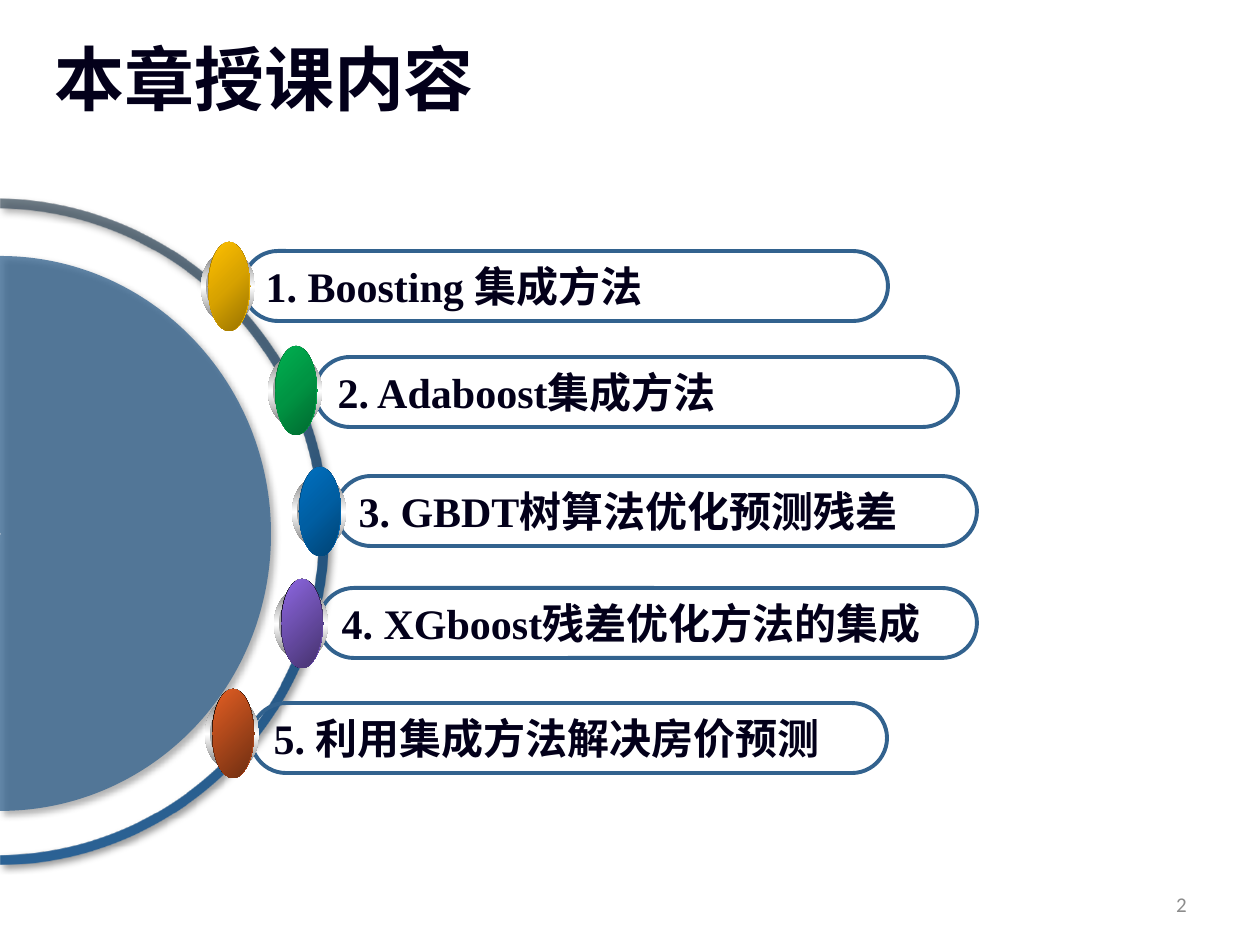
import lxml.etree
import pptx
import pptx.dml.color
import pptx.enum.shapes
import pptx.enum.text
import pptx.oxml.ns
import pptx.util

RGB = pptx.dml.color.RGBColor
SHAPE = pptx.enum.shapes.MSO_SHAPE
ALIGN = pptx.enum.text.PP_ALIGN
ANCHOR = pptx.enum.text.MSO_ANCHOR
qn = pptx.oxml.ns.qn

PX = 914400 / 126
LATIN = "Times New Roman"
CJK = "Noto Sans CJK SC"

INK = RGB(0x03, 0x00, 0x1A)
PAGE_GRAY = RGB(0x8C, 0x8C, 0x8C)
BLUE = RGB(0x32, 0x62, 0x8E)
BLACK = RGB(0x00, 0x00, 0x00)
WHITE = RGB(0xFF, 0xFF, 0xFF)
RIM_GRAY = RGB(0x76, 0x76, 0x76)
HUB_GRAY = RGB(0xA2, 0xA2, 0xA2)
ARC_TOP = RGB(0x44, 0x54, 0x62)
ARC_MIDDLE = RGB(0x24, 0x53, 0x7D)
ARC_BOTTOM = RGB(0x2B, 0x62, 0x95)
GOLD = [RGB(0x97, 0x72, 0x00), RGB(0xD7, 0xA2, 0x00), RGB(0xFF, 0xC0, 0x00)]
GREEN = [RGB(0x00, 0x68, 0x2F), RGB(0x00, 0x94, 0x43), RGB(0x00, 0xB0, 0x50)]
AZURE = [RGB(0x00, 0x42, 0x72), RGB(0x00, 0x5E, 0xA2), RGB(0x00, 0x70, 0xC0)]
PURPLE = [RGB(0x8D, 0x67, 0xE1), RGB(0x45, 0x32, 0x6D)]
ORANGE = [RGB(0xE3, 0x5E, 0x23), RGB(0x6E, 0x2E, 0x11)]

BARS = [
    (251, 703, 636, [("5. 利用集成方法解决房价预测", LATIN)]),
    (319, 588, 658, [("4. XGboost残差优化方法的集成", LATIN)]),
    (336, 476, 641, [("3. GBDT树算法优化预测残差", LATIN)]),
    (315, 357, 643, [("2. Adaboost集成方法", LATIN)]),
    (243, 251, 645, [("1. Boosting ", LATIN), ("集成方法", CJK)]),
]
MARKERS = [(205, 698, ORANGE), (274, 588, PURPLE), (268, 355, GREEN),
           (201, 251, GOLD), (292, 476, AZURE)]
RING = [
    ("moveTo", [(0, 209)]),
    ("cubicBezTo", [(176, 212), (318, 355), (318, 532)]),
    ("cubicBezTo", [(318, 709), (176, 852), (0, 854)]),
    ("lnTo", [(0, 864)]),
    ("cubicBezTo", [(181, 862), (328, 713), (328, 532)]),
    ("cubicBezTo", [(328, 350), (181, 203), (0, 199)]),
    ("close", []),
]
DISC = [
    ("moveTo", [(0, 535)]),
    ("cubicBezTo", [(1, 535), (1, 533), (0, 533)]),
    ("lnTo", [(0, 256)]),
    ("cubicBezTo", [(150, 256), (271, 381), (271, 534)]),
    ("cubicBezTo", [(271, 688), (150, 811), (0, 811)]),
    ("close", []),
]


def px(*lengths):
    """Turn whole pixels into EMU."""
    return [pptx.util.Emu(round(length * PX)) for length in lengths]


def add_run(paragraph, text, size, font, color, bold=True):
    """Add one formatted run to a paragraph."""
    run = paragraph.add_run()
    run.text = text
    run.font.size = pptx.util.Pt(size)
    run.font.bold = bold
    run.font.color.rgb = color
    run.font.name = font
    east_asian = lxml.etree.SubElement(run.font._element, qn("a:ea"))
    east_asian.set("typeface", CJK)


def add_label(slide, box, text, size, font, color, anchor, align, bold):
    """Add a one-line text box and return its paragraph."""
    frame = slide.shapes.add_textbox(*px(*box)).text_frame
    frame.word_wrap = True
    frame.vertical_anchor = anchor
    paragraph = frame.paragraphs[0]
    paragraph.alignment = align
    add_run(paragraph, text, size, font, color, bold)
    return paragraph


def set_alpha(color_element, percent):
    """Make a colour element partly transparent."""
    alpha = lxml.etree.SubElement(color_element, qn("a:alpha"))
    alpha.set("val", str(percent * 1000))


def set_gradient(shape, colors, angle=None):
    """Fill with evenly spaced colours, linear or from the lower right corner."""
    shape.fill.background()
    properties = shape._element.spPr
    gradient = lxml.etree.Element(qn("a:gradFill"), rotWithShape="1")
    stops = lxml.etree.SubElement(gradient, qn("a:gsLst"))
    for index, color in enumerate(colors):
        position = round(100000 * index / (len(colors) - 1))
        stop = lxml.etree.SubElement(stops, qn("a:gs"), pos=str(position))
        lxml.etree.SubElement(stop, qn("a:srgbClr"), val=str(color))
    if angle is None:
        radial = lxml.etree.SubElement(gradient, qn("a:path"), path="circle")
        lxml.etree.SubElement(radial, qn("a:fillToRect"), l="100000", t="100000")
    else:
        lxml.etree.SubElement(gradient, qn("a:lin"), ang=str(angle * 60000), scaled="0")
    properties.replace(properties.find(qn("a:noFill")), gradient)


def add_shadow(shape):
    """Give a shape a soft shadow to the lower right."""
    shape.shadow.inherit = False
    effects = shape._element.spPr.find(qn("a:effectLst"))
    shadow = lxml.etree.SubElement(
        effects, qn("a:outerShdw"), blurRad="50800", dist="38100",
        dir="2700000", algn="tl", rotWithShape="0")
    set_alpha(lxml.etree.SubElement(shadow, qn("a:srgbClr"), val=str(BLACK)), 40)


def add_outline(slide, left, top, width, height, segments):
    """Add a curved freeform, turned a quarter, from segments in slide pixels."""
    builder = slide.shapes.build_freeform(left, top, PX)
    builder.add_line_segments([(left + width, top), (left + width, top + height)])
    shape = builder.convert_to_shape()
    shape.rotation = 90
    outline = shape._element.spPr.find(".//" + qn("a:path"))
    for child in list(outline):
        outline.remove(child)
    outline.set("w", str(width))
    outline.set("h", str(height))
    for kind, points in segments:
        segment = lxml.etree.SubElement(outline, qn("a:" + kind))
        for x, y in points:
            across = y - top + (width - height) // 2
            down = height - (x - left) + (width - height) // 2
            lxml.etree.SubElement(segment, qn("a:pt"), x=str(across), y=str(down))
    shape.line.fill.background()
    add_shadow(shape)
    return shape


def add_dial(slide):
    """Add the half ring and the half disc at the left edge."""
    ring = add_outline(slide, -338, 199, 665, 665, RING)
    set_gradient(ring, [ARC_TOP, ARC_MIDDLE, ARC_BOTTOM], 0)
    set_alpha(ring._element.spPr.find(".//" + qn("a:srgbClr")), 75)
    disc = add_outline(slide, -278, 263, 556, 542, DISC)
    disc.fill.solid()
    disc.fill.fore_color.rgb = BLUE
    set_alpha(disc._element.spPr.find(qn("a:solidFill"))[0], 75)


def add_bar(slide, left, top, width, runs):
    """Add a rounded outline with its topic text."""
    bar = slide.shapes.add_shape(SHAPE.ROUNDED_RECTANGLE, *px(left, top, width, 70))
    bar.adjustments[0] = 0.5
    bar.shadow.inherit = False
    bar.fill.background()
    bar.line.color.rgb = BLUE
    bar.line.width = pptx.util.Pt(2.25)
    frame = bar.text_frame
    frame.word_wrap = False
    frame.vertical_anchor = ANCHOR.MIDDLE
    paragraph = frame.paragraphs[0]
    paragraph.alignment = ALIGN.LEFT
    for text, font in runs:
        add_run(paragraph, text, 24, font, INK)


def add_marker(slide, left, top, colors):
    """Add a button made of four stacked ellipses."""
    two_tone = len(colors) == 2
    back = [BLACK, colors[0]] if two_tone else colors
    layers = [
        ((0, 0, 54, 72), [RIM_GRAY, WHITE, RIM_GRAY], 90),
        ((5, 7, 43, 57), [HUB_GRAY, WHITE, HUB_GRAY], 0),
        ((7, -9, 42, 89), back, 45),
        ((8, -9, 40, 89), colors, 45 if two_tone else None),
    ]
    group = slide.shapes.add_group_shape()
    for (x, y, width, height), stops, angle in layers:
        ellipse = group.shapes.add_shape(
            SHAPE.OVAL, *px(left + x, top + y, width, height))
        ellipse.shadow.inherit = False
        ellipse.line.fill.background()
        set_gradient(ellipse, stops, angle)


def main():
    """Build the chapter contents slide."""
    presentation = pptx.Presentation()
    presentation.slide_width, presentation.slide_height = px(1260, 945)
    slide = presentation.slides.add_slide(presentation.slide_layouts[6])
    add_label(slide, (906, 879, 293, 50), "2", 12, "Calibri", PAGE_GRAY,
              ANCHOR.MIDDLE, ALIGN.RIGHT, False)
    title = add_label(slide, (42, 46, 1134, 118), "本章授课内容", 40, CJK, INK,
                      ANCHOR.TOP, ALIGN.LEFT, True)
    title.line_spacing = 0.8
    add_dial(slide)
    for bar in BARS:
        add_bar(slide, *bar)
    for marker in MARKERS:
        add_marker(slide, *marker)
    presentation.save("out.pptx")


if __name__ == "__main__":
    main()
